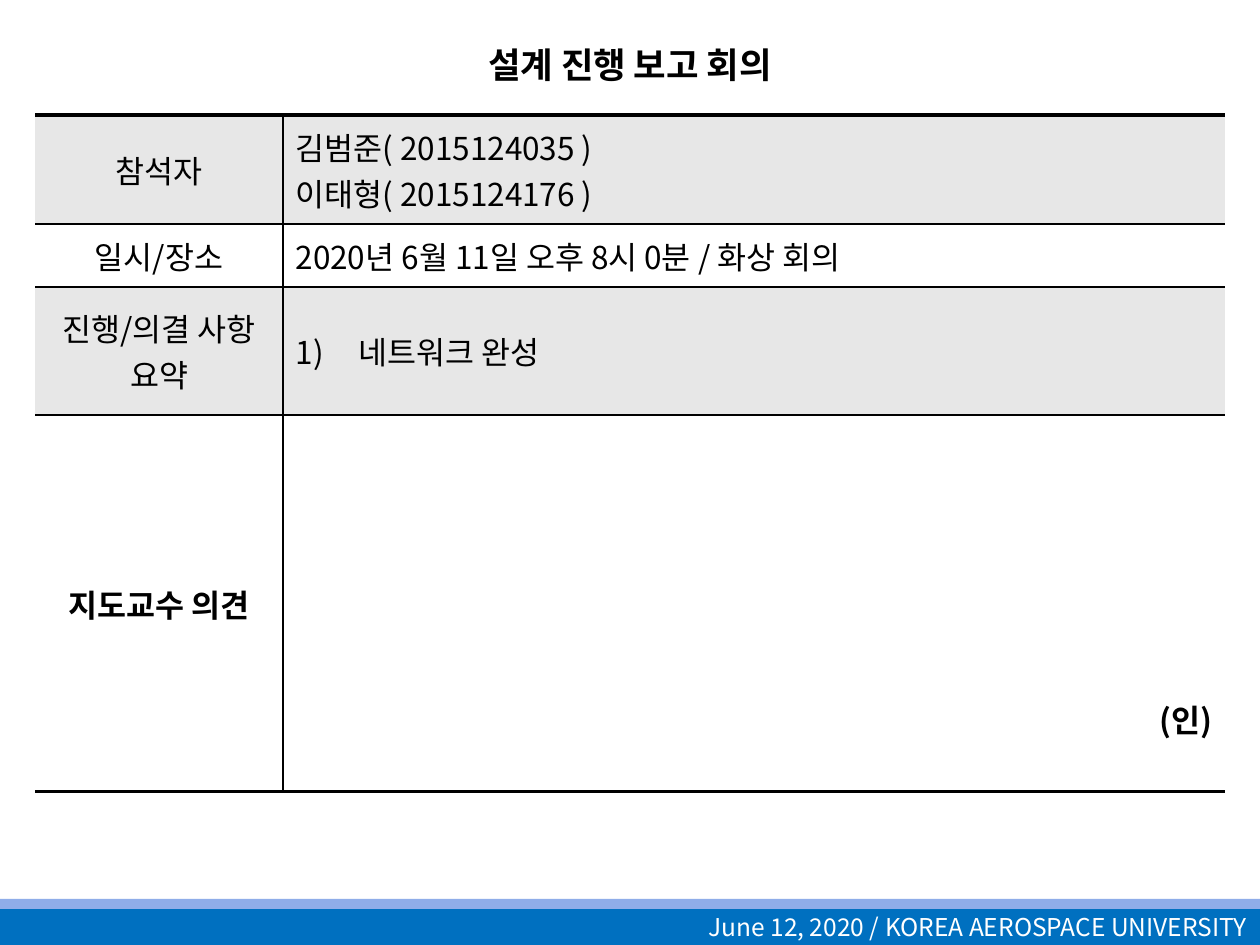
"""Build the design progress meeting report slide."""
from dataclasses import dataclass

from lxml import etree
from pptx import Presentation
from pptx.dml.color import RGBColor
from pptx.enum.shapes import MSO_SHAPE
from pptx.enum.text import MSO_ANCHOR, MSO_AUTO_SIZE, PP_ALIGN
from pptx.oxml.ns import qn
from pptx.util import Pt

RECT = MSO_SHAPE.RECTANGLE
MIDDLE, BOTTOM = MSO_ANCHOR.MIDDLE, MSO_ANCHOR.BOTTOM
LEFT, CENTER, RIGHT = PP_ALIGN.LEFT, PP_ALIGN.CENTER, PP_ALIGN.RIGHT


@dataclass(frozen=True)
class Theme:
    font: str = "Noto Sans CJK KR"
    ink: str = "000000"
    white: str = "FFFFFF"
    band: str = "E7E7E7"
    bar: str = "0070C0"
    stripe: str = "8FADE9"
    title: float = 25.2
    body: float = 18
    footer: float = 14
    thin: float = 1
    thick: float = 2


T = Theme()
TITLE = "설계 진행 보고 회의"
FOOTER = "June 12, 2020 / KOREA AEROSPACE UNIVERSITY"
ROWS = [
    ("참석자", ["김범준( 2015124035 )", "이태형( 2015124176 )"]),
    ("일시/장소", ["2020년 6월 11일 오후 8시 0분 / 화상 회의"]),
    ("진행/의결 사항 요약", ["네트워크 완성"]),
    ("지도교수 의견", ["(인)"]),
]
SUMMARY, OPINION = 2, 3
TITLE_BOX = (95, 26, 1070, 70)
TABLE_AT = (35, 115)
COLS = [248, 942]
HEIGHTS = [109, 63, 128, 377]
BARS = [((0, 909, 1260, 36), T.bar), ((0, 899, 1260, 10), T.stripe)]
SIGN_MARGIN = 50
INDENT = 63


def px(n):
    return round(n * 914400 / 126)


def rgb(code):
    return RGBColor.from_string(code)


def write(p, text, size, color=T.ink, align=LEFT, bold=False):
    p.alignment = align
    r = p.add_run()
    r.text = text
    f = r.font
    f.size, f.bold, f.name = Pt(size), bold, T.font
    f.color.rgb = rgb(color)
    etree.SubElement(f._element, qn("a:ea"), typeface=T.font)
    return r


def number(p):
    pPr = p._p.get_or_add_pPr()
    pPr.set("marL", str(px(INDENT)))
    pPr.set("indent", str(-px(INDENT)))
    etree.SubElement(pPr, qn("a:buFont"), typeface=T.font)
    etree.SubElement(pPr, qn("a:buAutoNum"), type="arabicParenR")


def border(cell, widths):
    tcPr = cell._tc.get_or_add_tcPr()
    for i, (side, width) in enumerate(zip("LRTB", widths)):
        ln = etree.Element(qn(f"a:ln{side}"), w=str(Pt(width)))
        if width:
            fill = etree.SubElement(ln, qn("a:solidFill"))
            etree.SubElement(fill, qn("a:srgbClr"), val=T.ink)
        else:
            etree.SubElement(ln, qn("a:noFill"))
        tcPr.insert(i, ln)


def add_title(s):
    sp = s.shapes.title
    sp.left, sp.top, sp.width, sp.height = map(px, TITLE_BOX)
    tf = sp.text_frame
    tf.auto_size = MSO_AUTO_SIZE.NONE
    tf.vertical_anchor = MIDDLE
    r = write(tf.paragraphs[0], TITLE, T.title, align=CENTER, bold=True)
    r.font._element.set("cap", "small")


def add_bars(s):
    bars = []
    for box, color in BARS:
        sp = s.shapes.add_shape(RECT, *map(px, box))
        sp.shadow.inherit = False
        sp.fill.solid()
        sp.fill.fore_color.rgb = rgb(color)
        sp.line.fill.background()
        bars.append(sp)
    tf = bars[0].text_frame
    tf.vertical_anchor = MIDDLE
    write(tf.paragraphs[0], FOOTER, T.footer, T.white, RIGHT)


def add_report(s):
    size = (sum(COLS), sum(HEIGHTS))
    table = s.shapes.add_table(len(ROWS), len(COLS), *map(px, TABLE_AT + size)).table
    table.first_row = table.horz_banding = False
    for col, w in zip(table.columns, COLS):
        col.width = px(w)
    for i, (label, lines) in enumerate(ROWS):
        table.rows[i].height = px(HEIGHTS[i])
        top = T.thick if i == 0 else T.thin
        bottom = T.thick if i == len(ROWS) - 1 else T.thin
        bold = i == OPINION
        for j, texts in enumerate(([label], lines)):
            cell = table.cell(i, j)
            cell.vertical_anchor = MIDDLE
            cell.fill.solid()
            cell.fill.fore_color.rgb = rgb(T.white if i % 2 else T.band)
            border(cell, (T.thin * j, T.thin * (1 - j), top, bottom))
            align = CENTER if j == 0 else RIGHT if bold else LEFT
            tf = cell.text_frame
            for k, text in enumerate(texts):
                p = tf.add_paragraph() if k else tf.paragraphs[0]
                if j and i == SUMMARY:
                    number(p)
                write(p, text, T.body, align=align, bold=bold)
    sign = table.cell(OPINION, 1)
    sign.vertical_anchor = BOTTOM
    sign.margin_bottom = px(SIGN_MARGIN)


def main():
    prs = Presentation()
    prs.slide_width, prs.slide_height = px(1260), px(945)
    s = prs.slides.add_slide(prs.slide_layouts[0])
    subtitle = s.placeholders[1]._element
    subtitle.getparent().remove(subtitle)
    add_bars(s)
    add_title(s)
    add_report(s)
    prs.save("out.pptx")


if __name__ == "__main__":
    main()
